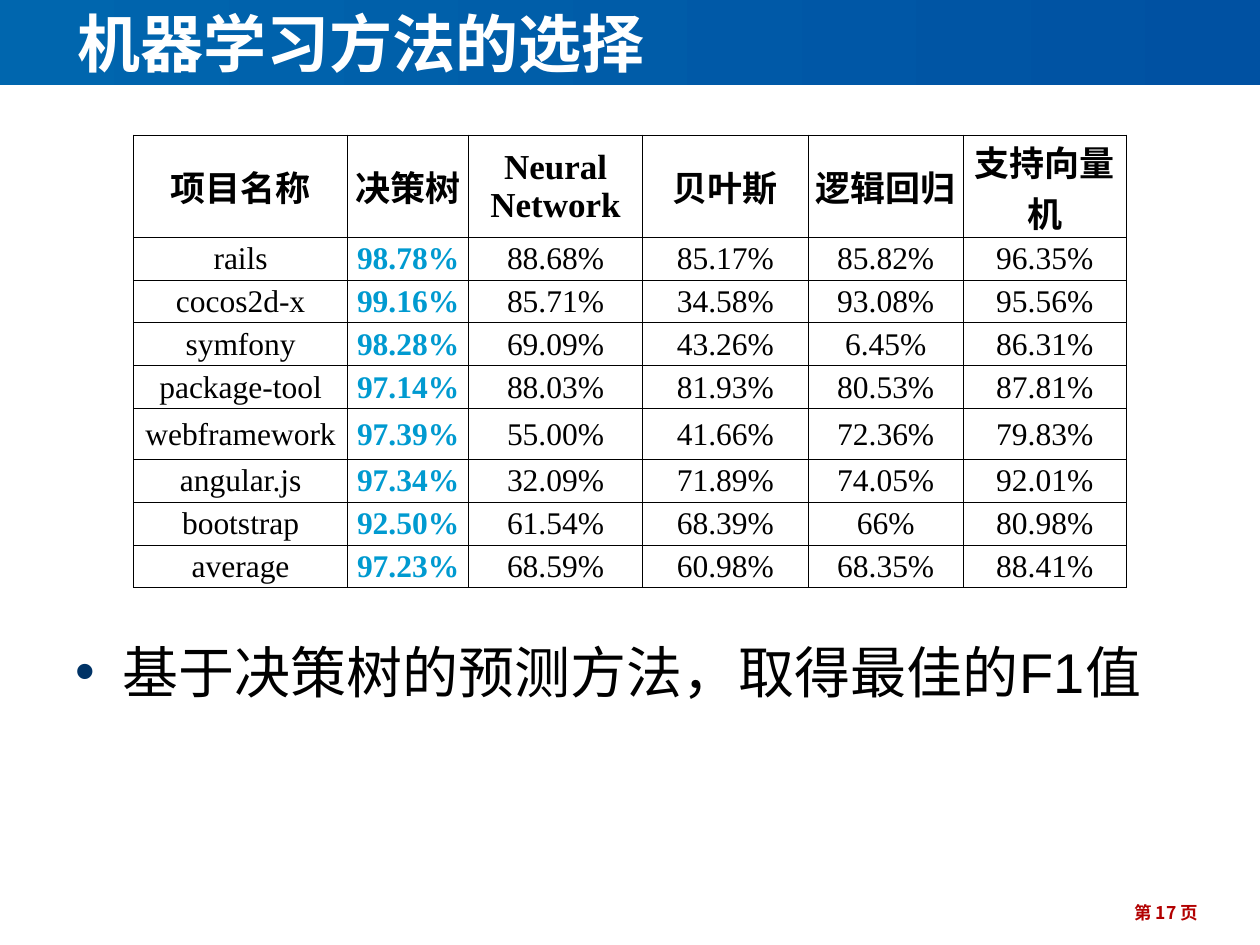
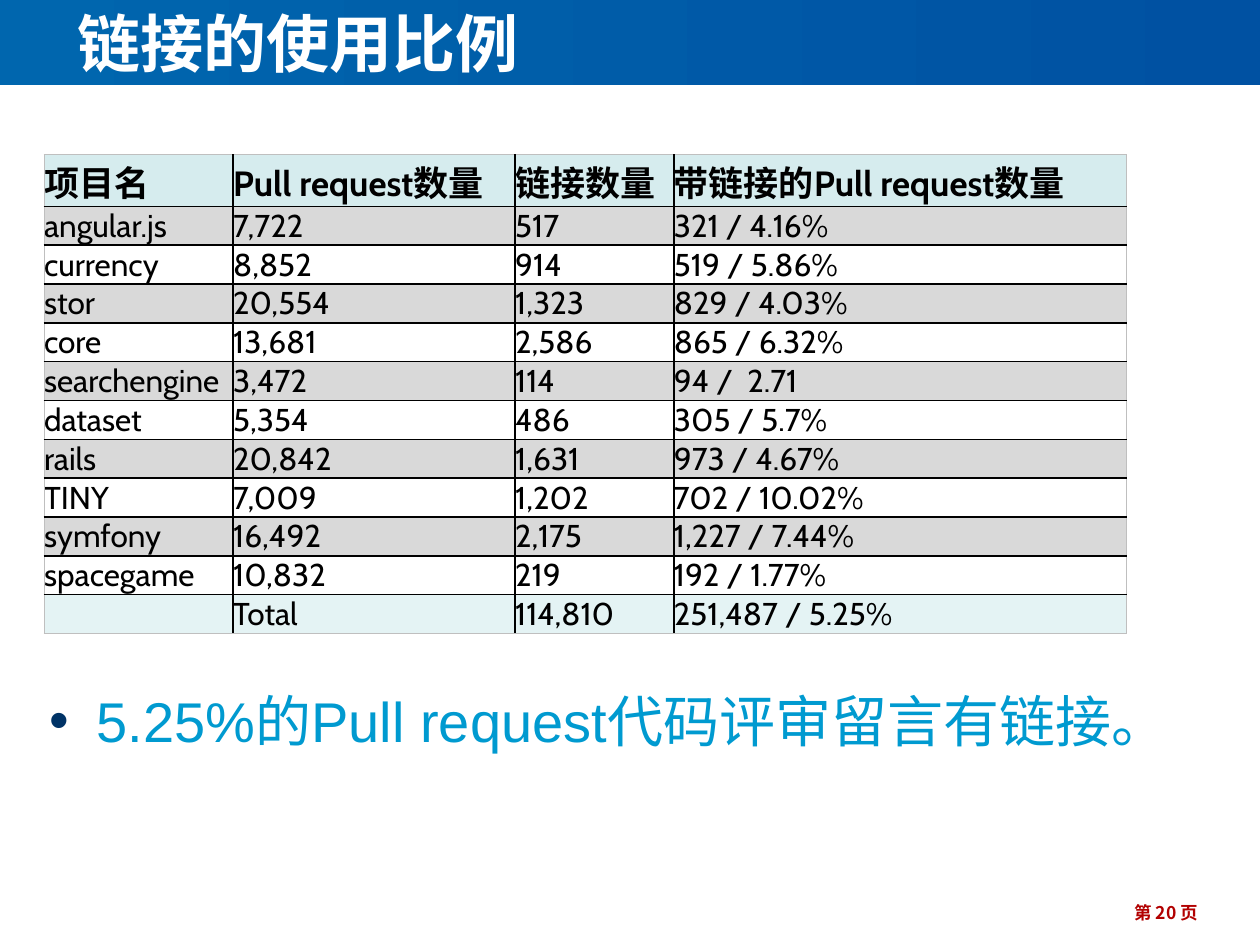
from lxml import etree
from pptx import Presentation
from pptx.dml.color import RGBColor
from pptx.enum.shapes import MSO_SHAPE
from pptx.enum.text import MSO_ANCHOR, PP_ALIGN
from pptx.oxml.ns import qn
from pptx.util import Pt

RECTANGLE = MSO_SHAPE.RECTANGLE
TOP, MIDDLE, BOTTOM = MSO_ANCHOR.TOP, MSO_ANCHOR.MIDDLE, MSO_ANCHOR.BOTTOM
LEFT, CENTER = PP_ALIGN.LEFT, PP_ALIGN.CENTER

PAGE_WIDTH, PAGE_HEIGHT, BAND_HEIGHT = 720, 540, 48.6
CJK, BODY, SERIF, SANS = "Noto Sans CJK SC", "Arial", "Times New Roman", "Cabin"
WHITE, BLACK, ACCENT, NAVY, RED = "FFFFFF", "000000", "009AD0", "003366", "B20000"
BAND_START, BAND_END = "0066AE", "0051A2"
HEADER_FILL, TOTAL_FILL, STRIPE, FRAME = "D6ECEE", "E4F3F4", "D9D9D9", "BFBFBF"

SCORES = [
    ["项目名称", "决策树", "Neural Network", "贝叶斯", "逻辑回归", "支持向量机"],
    ["rails", "98.78%", "88.68%", "85.17%", "85.82%", "96.35%"],
    ["cocos2d-x", "99.16%", "85.71%", "34.58%", "93.08%", "95.56%"],
    ["symfony", "98.28%", "69.09%", "43.26%", "6.45%", "86.31%"],
    ["package-tool", "97.14%", "88.03%", "81.93%", "80.53%", "87.81%"],
    ["webframework", "97.39%", "55.00%", "41.66%", "72.36%", "79.83%"],
    ["angular.js", "97.34%", "32.09%", "71.89%", "74.05%", "92.01%"],
    ["bootstrap", "92.50%", "61.54%", "68.39%", "66%", "80.98%"],
    ["average", "97.23%", "68.59%", "60.98%", "68.35%", "88.41%"],
]
LINKS = [
    ["项目名", "Pull request数量", "链接数量", "带链接的Pull request数量"],
    ["angular.js", "7,722", "517", "321 / 4.16%"],
    ["currency", "8,852", "914", "519 / 5.86%"],
    ["stor", "20,554", "1,323", "829 / 4.03%"],
    ["core", "13,681", "2,586", "865 / 6.32%"],
    ["searchengine", "3,472", "114", "94 /  2.71"],
    ["dataset", "5,354", "486", "305 / 5.7%"],
    ["rails", "20,842", "1,631", "973 / 4.67%"],
    ["TINY", "7,009", "1,202", "702 / 10.02%"],
    ["symfony", "16,492", "2,175", "1,227 / 7.44%"],
    ["spacegame", "10,832", "219", "192 / 1.77%"],
    ["", "Total", "114,810", "251,487 / 5.25%"],
]


def color(value):
    """Turn a hex string into a colour."""
    return RGBColor.from_string(value)


def add_span(para, text, size, font, fill, bold=False):
    """Add one styled run, with the shared East Asian font."""
    span = para.add_run()
    span.text = text
    span.font.size, span.font.bold, span.font.name = Pt(size), bold, font
    span.font.color.rgb = color(fill)
    etree.SubElement(span.font._element, qn("a:ea"), typeface=CJK)


def add_text(page, box, text, size, font, fill, bold=False, align=LEFT, anchor=MIDDLE, inset=3.6):
    """Place a one-paragraph text box and return the paragraph."""
    frame = page.shapes.add_textbox(*map(Pt, box)).text_frame
    frame.word_wrap, frame.vertical_anchor = True, anchor
    frame.margin_top = frame.margin_bottom = Pt(inset)
    para = frame.paragraphs[0]
    para.alignment = align
    add_span(para, text, size, font, fill, bold)
    return para


def add_bullet(page, box, text, fill):
    """Place a bulleted statement."""
    para = add_text(page, box, text, 32, BODY, fill, anchor=TOP)
    para.space_before = Pt(6.4)
    props = para._p.get_or_add_pPr()
    props.set("marL", str(Pt(27)))
    props.set("indent", str(Pt(-27)))
    tint = etree.SubElement(props, qn("a:buClr"))
    etree.SubElement(tint, qn("a:srgbClr"), val=NAVY)
    etree.SubElement(props, qn("a:buFont"), typeface=BODY)
    etree.SubElement(props, qn("a:buChar"), char="•")


def add_page(deck, title, number):
    """Add a page with its title band and page number."""
    page = deck.slides.add_slide(deck.slide_layouts[6])
    band = page.shapes.add_shape(RECTANGLE, 0, 0, Pt(PAGE_WIDTH), Pt(BAND_HEIGHT))
    band.shadow.inherit = False
    band.line.fill.background()
    band.fill.gradient()
    band.fill.gradient_angle = 0
    for stop, value in zip(band.fill.gradient_stops, (BAND_START, BAND_END)):
        stop.color.rgb = color(value)
    add_text(page, (37, 0, 607, BAND_HEIGHT), title, 36, CJK, WHITE, True)
    add_text(page, (632, 513.5, 68.5, 16), f"第 {number} 页", 10, CJK, RED, True, CENTER, inset=0)
    return page


def set_borders(cell, edges):
    """Draw the cell edges, given as tag to width and colour."""
    props = cell._tc.get_or_add_tcPr()
    for index, (tag, (width, value)) in enumerate(edges.items()):
        line = etree.Element(qn(f"a:{tag}"), w=str(Pt(width)))
        solid = etree.SubElement(line, qn("a:solidFill"))
        etree.SubElement(solid, qn("a:srgbClr"), val=value)
        props.insert(index, line)


def add_grid(page, corner, widths, heights):
    """Add a plain table with the given column widths and row heights."""
    box = (*corner, sum(widths), sum(heights))
    grid = page.shapes.add_table(len(heights), len(widths), *map(Pt, box)).table
    grid.first_row = grid.horz_banding = False
    for column, width in zip(grid.columns, widths):
        column.width = Pt(width)
    for row, height in zip(grid.rows, heights):
        row.height = Pt(height)
    return grid


def fill_cell(cell, text, header, font, fill, bold, align, anchor, inset):
    """Write one cell with its alignment and margins."""
    cell.vertical_anchor = anchor
    cell.margin_left = cell.margin_right = cell.margin_top = Pt(inset)
    cell.margin_bottom = 0
    para = cell.text_frame.paragraphs[0]
    para.alignment = align
    if text:
        add_span(para, text, 20 if header else 18, font, fill, bold)


def add_score_table(page, corner):
    """Compare the methods, with the decision tree highlighted."""
    heights = [58.3] + [24.5] * 4 + [29] + [24.5] * 3
    grid = add_grid(page, corner, [122.4, 69.1, 99.4, 94.7, 88.6, 93.2], heights)
    for row, values in enumerate(SCORES):
        for column, text in enumerate(values):
            cell = grid.cell(row, column)
            header, best = row == 0, row > 0 and column == 1
            fill_cell(cell, text, header, SERIF, ACCENT if best else BLACK,
                      header or best, CENTER, MIDDLE, 0.6)
            cell.fill.background()
            set_borders(cell, dict.fromkeys(("lnL", "lnR", "lnT", "lnB"), (0.5, BLACK)))


def add_link_table(page, corner):
    """List link counts in striped rows, with a total."""
    last_row, last_column = len(LINKS) - 1, len(LINKS[0]) - 1
    grid = add_grid(page, corner, [108, 161.2, 90.7, 258.8], [29.4] + [22.2] * last_row)
    inner, outer = (1, BLACK), (0.5, FRAME)
    for row, values in enumerate(LINKS):
        fill = {0: HEADER_FILL, last_row: TOTAL_FILL}.get(row, STRIPE if row % 2 else WHITE)
        for column, text in enumerate(values):
            cell = grid.cell(row, column)
            fill_cell(cell, text, row == 0, SANS, BLACK, row == 0, LEFT, BOTTOM, 0)
            cell.fill.solid()
            cell.fill.fore_color.rgb = color(fill)
            set_borders(cell, {
                "lnL": outer if column == 0 else inner,
                "lnR": outer if column == last_column else inner,
                "lnT": outer if row == 0 else inner,
                "lnB": outer if row == last_row else inner,
            })


def build_method_page(deck):
    """Build the page on choosing a learning method."""
    page = add_page(deck, "机器学习方法的选择", 17)
    add_bullet(page, (36, 360.7, 648, 137.5), "基于决策树的预测方法，取得最佳的F1值", BLACK)
    add_score_table(page, (76.3, 77.2))


def build_link_page(deck):
    """Build the page on the share of links."""
    page = add_page(deck, "链接的使用比例", 20)
    add_bullet(page, (21, 389, 638, 90.7), "5.25%的Pull request代码评审留言有链接。", ACCENT)
    add_link_table(page, (25.2, 88.5))


def main():
    """Build and save the deck."""
    deck = Presentation()
    deck.slide_width, deck.slide_height = Pt(PAGE_WIDTH), Pt(PAGE_HEIGHT)
    build_method_page(deck)
    build_link_page(deck)
    deck.save("out.pptx")


main()
